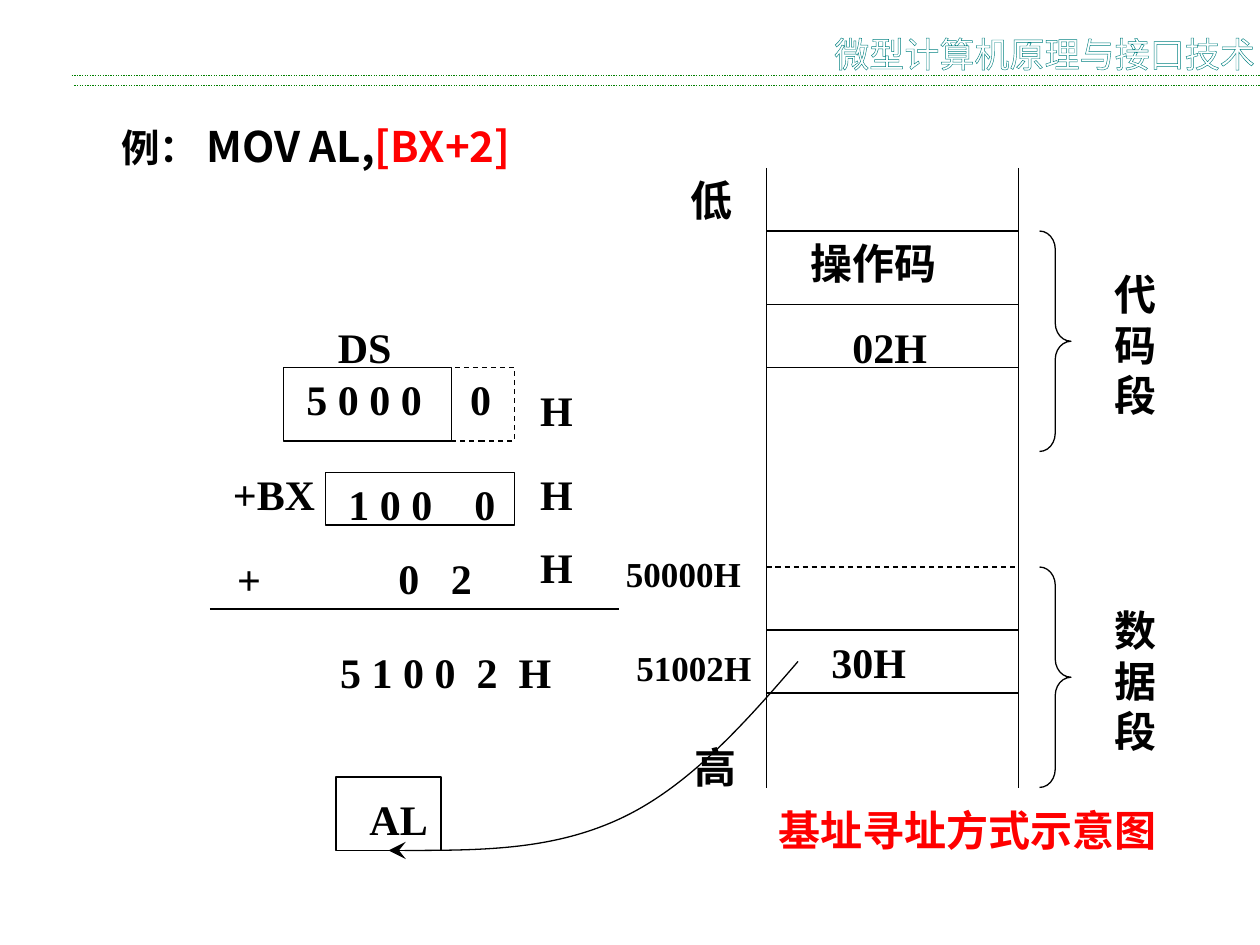
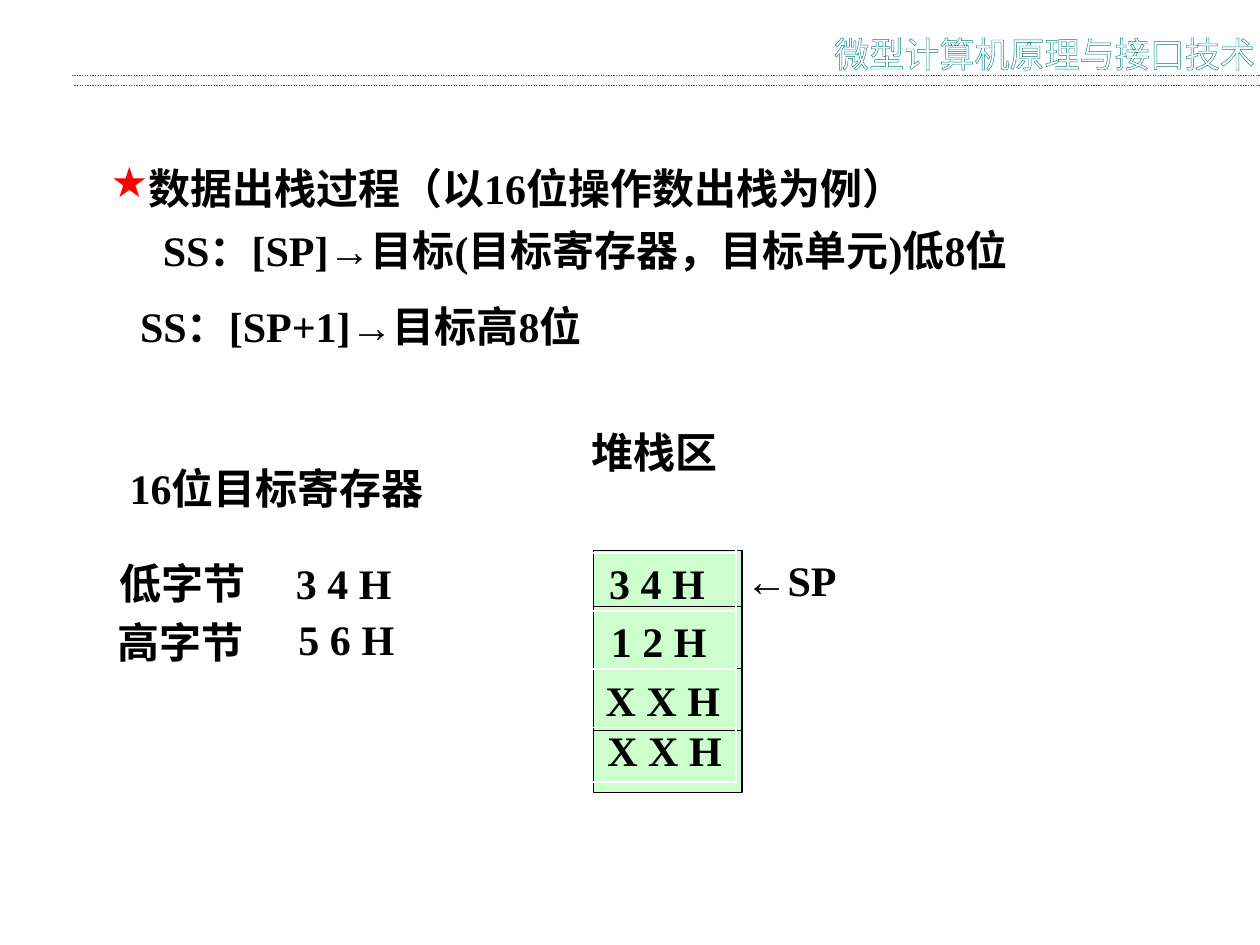
from lxml import etree
from pptx import Presentation
from pptx import util as u
from pptx.dml.color import RGBColor
from pptx.enum import dml, shapes, text
from pptx.oxml.ns import qn

Pt = u.Pt
SERIF, SANS = "Times New Roman", "Noto Sans CJK SC"
BLACK, RED, WHITE, GREEN = "000000", "FF0000", "FFFFFF", "008000"
TEAL, MINT = "008080", "CCFFCC"
RECT, STRAIGHT = shapes.MSO_SHAPE.RECTANGLE, shapes.MSO_CONNECTOR.STRAIGHT
DASH, DOT = dml.MSO_LINE.DASH, dml.MSO_LINE.ROUND_DOT
color = RGBColor.from_string


def draw(sp, line=BLACK, fill=None, dash=None):
    """Give a shape or connector a thin line, an optional fill and no shadow."""
    sp.line.color.rgb = color(line)
    sp.line.width = Pt(0.75)
    if dash:
        sp.line.dash_style = dash
    if not hasattr(sp, "fill"):
        etree.SubElement(sp.element.spPr, qn("a:effectLst"))
        return sp
    sp.shadow.inherit = False
    if fill:
        sp.fill.solid()
        sp.fill.fore_color.rgb = color(fill)
    else:
        sp.fill.background()
    return sp


def add_run(p, words, size=24, ink=BLACK, font=SERIF, bold=True):
    """Add a run whose Chinese characters always use the sans face."""
    r = p.add_run()
    r.text = words
    r.font.size, r.font.bold, r.font.name = Pt(size), bold, font
    r.font.color.rgb = color(ink)
    etree.SubElement(r.font._element, qn("a:ea"), typeface=SANS)
    return r


prs = Presentation()
prs.slide_width, prs.slide_height = Pt(720), Pt(540)
layout = prs.slide_layouts[5]
for ph in list(layout.placeholders)[1:]:
    layout.shapes.element.remove(ph.element)
based, pop = [prs.slides.add_slide(layout) for _ in range(2)]

# Shared header: two rules and the outlined course name, kept on the layout
header = [draw(based.shapes.add_connector(STRAIGHT, Pt(x), Pt(y), Pt(720), Pt(y)), GREEN, dash=DOT)
          for x, y in ((42.5, 49), (41, 43.2))]
course = based.shapes.add_textbox(Pt(467), Pt(15), Pt(260), Pt(20))
course.text_frame.word_wrap = False
p = course.text_frame.paragraphs[0]
p.alignment = text.PP_ALIGN.CENTER
r = add_run(p, "微型计算机原理与接口技术", 20, WHITE, SANS, False)
ln = etree.Element(qn("a:ln"), w=str(Pt(0.75)))
solid = etree.SubElement(ln, qn("a:solidFill"))
etree.SubElement(solid, qn("a:srgbClr"), val=TEAL)
r.font._element.insert(0, ln)
for sp in header + [course]:
    layout.shapes.element.append(sp.element)

# Titles
titles = [
    (based, (62, 65, 260), [("例： ", 22), ("MOV AL,", 24, BLACK, SANS),
                            ("[BX+2]", 24, RED, SANS)]),
    (pop, (56, 89, 630), [("数据出栈过程（以16位操作数出栈为例）",)]),
]
for s, (x, y, w), runs in titles:
    sp = s.shapes.title
    sp.left, sp.top, sp.width, sp.height = Pt(x), Pt(y), Pt(w), Pt(36)
    tf = sp.text_frame
    tf.auto_size = text.MSO_AUTO_SIZE.SHAPE_TO_FIT_TEXT
    tf.word_wrap = True
    tf.vertical_anchor = text.MSO_ANCHOR.TOP
    p = tf.paragraphs[0]
    p.alignment = text.PP_ALIGN.LEFT
    if s is pop:
        pPr = p._p.get_or_add_pPr()
        bullet_color = etree.SubElement(pPr, qn("a:buClr"))
        etree.SubElement(bullet_color, qn("a:srgbClr"), val=RED)
        etree.SubElement(pPr, qn("a:buChar"), char="★")
    for run in runs:
        add_run(p, *run)

# Slide 1: memory column
left, right = 438, 582
for x in (left, right):
    draw(based.shapes.add_connector(STRAIGHT, Pt(x), Pt(96), Pt(x), Pt(450)))
for y in (132, 174, 210, 324, 360, 396):
    row = based.shapes.add_connector(STRAIGHT, Pt(left), Pt(y), Pt(right), Pt(y))
    draw(row, dash=DASH if y == 324 else None)

# Slide 1: segment braces
segments = [(132, "代码段"), (324, "数据段")]
for y, _ in segments:
    brace = based.shapes.add_shape(shapes.MSO_SHAPE.RIGHT_BRACE, Pt(594), Pt(y), Pt(18), Pt(126))
    brace.adjustments[0] = 0.58
    draw(brace)

# Slide 1: registers and the sum line
registers = [(162, 210, 96, 42), (258, 210, 36, 42), (186, 270, 108, 30), (192, 444, 60, 42)]
for i, box in enumerate(registers):
    draw(based.shapes.add_shape(RECT, *map(Pt, box)), dash=DASH if i == 1 else None)
draw(based.shapes.add_connector(STRAIGHT, Pt(120), Pt(348), Pt(354), Pt(348)))

# Slide 1: curved arrow from the memory cell to AL
fb = based.shapes.build_freeform(Pt(456), Pt(378))
curve = [(425, 414), (393, 450), (354, 468), (315, 486), (268.5, 486), (222, 486)]
fb.add_line_segments([(Pt(x), Pt(y)) for x, y in curve], close=False)
arrow = draw(fb.convert_to_shape())
outline = arrow.element.find(".//" + qn("a:path"))
points = outline.findall(qn("a:lnTo"))
for i in (0, 3):
    bezier = etree.SubElement(outline, qn("a:cubicBezTo"))
    for point in points[i:i + 3]:
        bezier.append(point[0])
        outline.remove(point)
arrow_line = arrow.element.spPr.find(qn("a:ln"))
etree.SubElement(arrow_line, qn("a:tailEnd"), type="stealth", w="lg", len="lg")

# Slide 2: stack cells
stack = pop.shapes.add_group_shape().shapes
draw(stack.add_shape(RECT, Pt(339), Pt(314.6), Pt(85), Pt(138.2)), fill=MINT)
for i in range(3):
    y = Pt(346.4 + 35.6 * i)
    draw(stack.add_connector(STRAIGHT, Pt(339), y, Pt(424), y))
frames = [(281, 166)] + [(316 + 33.2 * i, 33.2) for i in range(3)]
for y, h in frames:
    draw(pop.shapes.add_shape(RECT, Pt(332.6), Pt(y), Pt(88), Pt(h)), WHITE)

# Labels: left, top, width, words, options
centred = {"center": True}
address = {**centred, "size": 20, "h": 32}
based_labels = [
    (387.5, 96, 42, "低", {}),
    (390, 420, 42, "高", {}),
    (456, 132, 96, "操作码", {}),
    (480, 180, 64, "02H", {}),
    (468, 360, 64, "30H", {}),
    (348, 312, 85, "50000H", address),
    (354, 366, 85, "51002H", address),
    (186, 180, 78, "DS", {}),
    (168, 210, 90, "5 0 0 0", {}),
    (261.5, 210, 32, "0", {}),
    (126, 264, 78, "+BX", {}),
    (192, 270, 114, "1 0 0\t0", {"tabs": [72]}),
    (119, 318, 43, "+", {**centred, "h": 24, "vertical": True}),
    (210, 312, 96, "0\t2", {"inset": 17.6, "tabs": [30]}),
    (162, 366, 180, "5 1 0 0\t2\tH", {"inset": 32.4, "tabs": [78, 102]}),
    (204, 450, 54, "AL", {}),
    (438, 456, 252, "基址寻址方式示意图", {"ink": RED}),
]
based_labels += [(288, y, 60, "H", centred) for y in (216, 264, 306)]
based_labels += [(630, y + 18, 61, name, {"h": 94}) for y, name in segments]
pop_labels = [
    (86, 125, 600, "SS：[SP]→目标(目标寄存器，目标单元)低8位", {}),
    (73, 168, 330, "SS：[SP+1]→目标高8位", {}),
    (67, 261, 210, "16位目标寄存器", {}),
    (331, 240, 96, "堆栈区", {}),
    (61, 315, 96, "低字节", {}),
    (60, 349, 96, "高字节", {}),
    (162, 315, 80, "3 4 H", {}),
    (163.5, 347, 80, "5 6 H", {}),
    (341, 315, 80, "3 4 H", {}),
    (342, 348, 80, "1 2 H", {}),
    (339, 382, 90, "X X H", {}),
    (340, 410.5, 90, "X X H", {}),
    (419, 321, 90, "←SP", {"spacing": 0.7}),
]
for s, labels in ((based, based_labels), (pop, pop_labels)):
    for x, y, w, words, opt in labels:
        sp = s.shapes.add_textbox(Pt(x), Pt(y), Pt(w), Pt(opt.get("h", 36)))
        tf = sp.text_frame
        tf.word_wrap = True
        tf.auto_size = text.MSO_AUTO_SIZE.SHAPE_TO_FIT_TEXT
        tf.margin_left = Pt(opt.get("inset", 7.2))
        p = tf.paragraphs[0]
        if "vertical" in opt:
            sp.element.txBody.bodyPr.set("vert", "eaVert")
            tf.margin_left = tf.margin_right = Pt(3.6)
            tf.margin_top = tf.margin_bottom = Pt(7.2)
        if "center" in opt:
            p.alignment = text.PP_ALIGN.CENTER
        if "spacing" in opt:
            p.line_spacing = opt["spacing"]
        if "tabs" in opt:
            stops = etree.SubElement(p._p.get_or_add_pPr(), qn("a:tabLst"))
            for stop in opt["tabs"]:
                etree.SubElement(stops, qn("a:tab"), pos=str(Pt(stop)), algn="l")
        add_run(p, words, opt.get("size", 24), opt.get("ink", BLACK))

prs.save("out.pptx")
